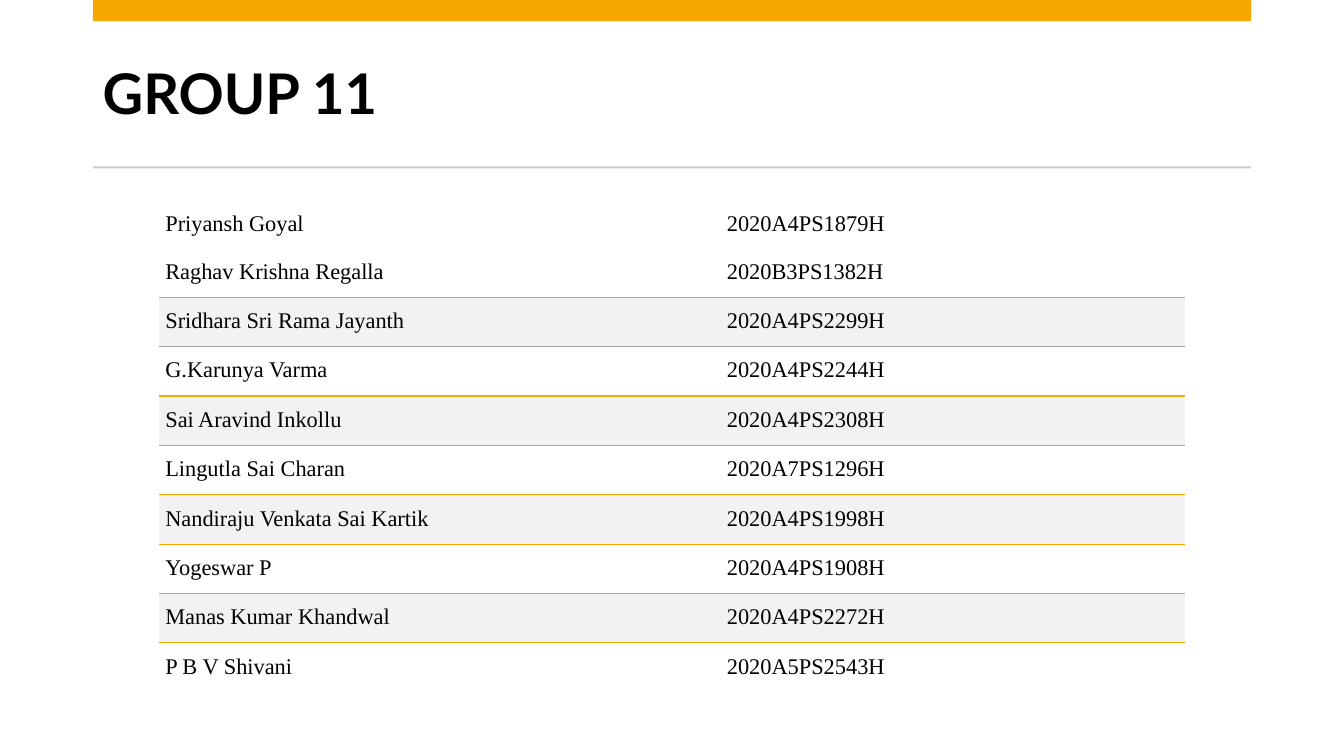
from lxml.etree import SubElement
from pptx import Presentation
from pptx.dml.color import RGBColor as RGB
from pptx.enum.shapes import MSO_SHAPE as Shape
from pptx.enum.text import MSO_ANCHOR as Anchor
from pptx.oxml.ns import qn
from pptx.util import Pt

TITLE = "GROUP 11"
MEMBERS = [
    ("Priyansh Goyal", "2020A4PS1879H"),
    ("Raghav Krishna Regalla", "2020B3PS1382H"),
    ("Sridhara Sri Rama Jayanth", "2020A4PS2299H"),
    ("G.Karunya Varma", "2020A4PS2244H"),
    ("Sai Aravind Inkollu", "2020A4PS2308H"),
    ("Lingutla Sai Charan", "2020A7PS1296H"),
    ("Nandiraju Venkata Sai Kartik", "2020A4PS1998H"),
    ("Yogeswar P", "2020A4PS1908H"),
    ("Manas Kumar Khandwal", "2020A4PS2272H"),
    ("P B V Shivani", "2020A5PS2543H"),
]
COLORS = {"ink": "000000", "gold": "F5A700", "rule": "C9C9C9",
          "band": "F2F2F2", "gray": "A6A6A6"}
LEFT, WIDTH = 92, 1149
COLS = (557, 460)
FIRST, ROW = 56, 49
NO_GRID = "{2D5ABB26-0587-4C30-8999-92F81FD0307C}"


def px(n):
    """Turn px, 100 to the inch, into EMU."""
    return n * 9144


def box(*lengths):
    return [px(n) for n in lengths]


def style(para, size, face, bold=False):
    for run in para.runs:
        font = run.font
        font.size, font.name, font.bold = Pt(size), face, bold
        font.color.rgb = RGB.from_string(COLORS["ink"])


def add_bar(slide, top, height, color):
    bar = slide.shapes.add_shape(Shape.RECTANGLE, *box(LEFT, top, WIDTH, height))
    bar.shadow.inherit = False
    bar.fill.solid()
    bar.fill.fore_color.rgb = RGB.from_string(COLORS[color])
    bar.line.fill.background()


def add_title(slide):
    title = slide.shapes.add_textbox(*box(LEFT, 37, WIDTH, 118))
    frame = title.text_frame
    frame.word_wrap = True
    frame.vertical_anchor = Anchor.MIDDLE
    frame.text = TITLE
    para = frame.paragraphs[0]
    para.line_spacing = 0.9
    style(para, 40, "Lato", True)


def top_line(cell, color):
    props = cell._tc.get_or_add_tcPr()
    line = SubElement(props, qn("a:lnT"), w=str(Pt(1)))
    fill = SubElement(line, qn("a:solidFill"))
    SubElement(fill, qn("a:srgbClr"), val=COLORS[color])


def fill_cell(cell, text, row):
    cell.text = text
    cell.margin_left = cell.margin_right = px(6)
    cell.margin_top, cell.margin_bottom = px(10), px(12)
    cell.vertical_anchor = Anchor.MIDDLE if row else Anchor.BOTTOM
    style(cell.text_frame.paragraphs[0], 16, "Times New Roman")
    if row and row % 2 == 0:
        top_line(cell, "gray" if row == 2 else "gold")
        cell.fill.solid()
        cell.fill.fore_color.rgb = RGB.from_string(COLORS["band"])
    else:
        cell.fill.background()


def add_members(slide):
    count = len(MEMBERS)
    height = FIRST + ROW * (count - 1)
    frame = slide.shapes.add_table(count, len(COLS), *box(158, 190, sum(COLS), height))
    frame.element.find(".//" + qn("a:tableStyleId")).text = NO_GRID
    table = frame.table
    table.first_row = table.horz_banding = False
    for col, width in zip(table.columns, COLS):
        col.width = px(width)
    for r, member in enumerate(MEMBERS):
        table.rows[r].height = px(ROW if r else FIRST)
        for c, text in enumerate(member):
            fill_cell(table.cell(r, c), text, r)


def main():
    deck = Presentation()
    deck.slide_width, deck.slide_height = box(1333, 750)
    slide = deck.slides.add_slide(deck.slide_layouts[6])
    add_title(slide)
    add_bar(slide, 0, 21, "gold")
    add_bar(slide, 165, 2, "rule")
    add_members(slide)
    deck.save("out.pptx")


if __name__ == "__main__":
    main()
